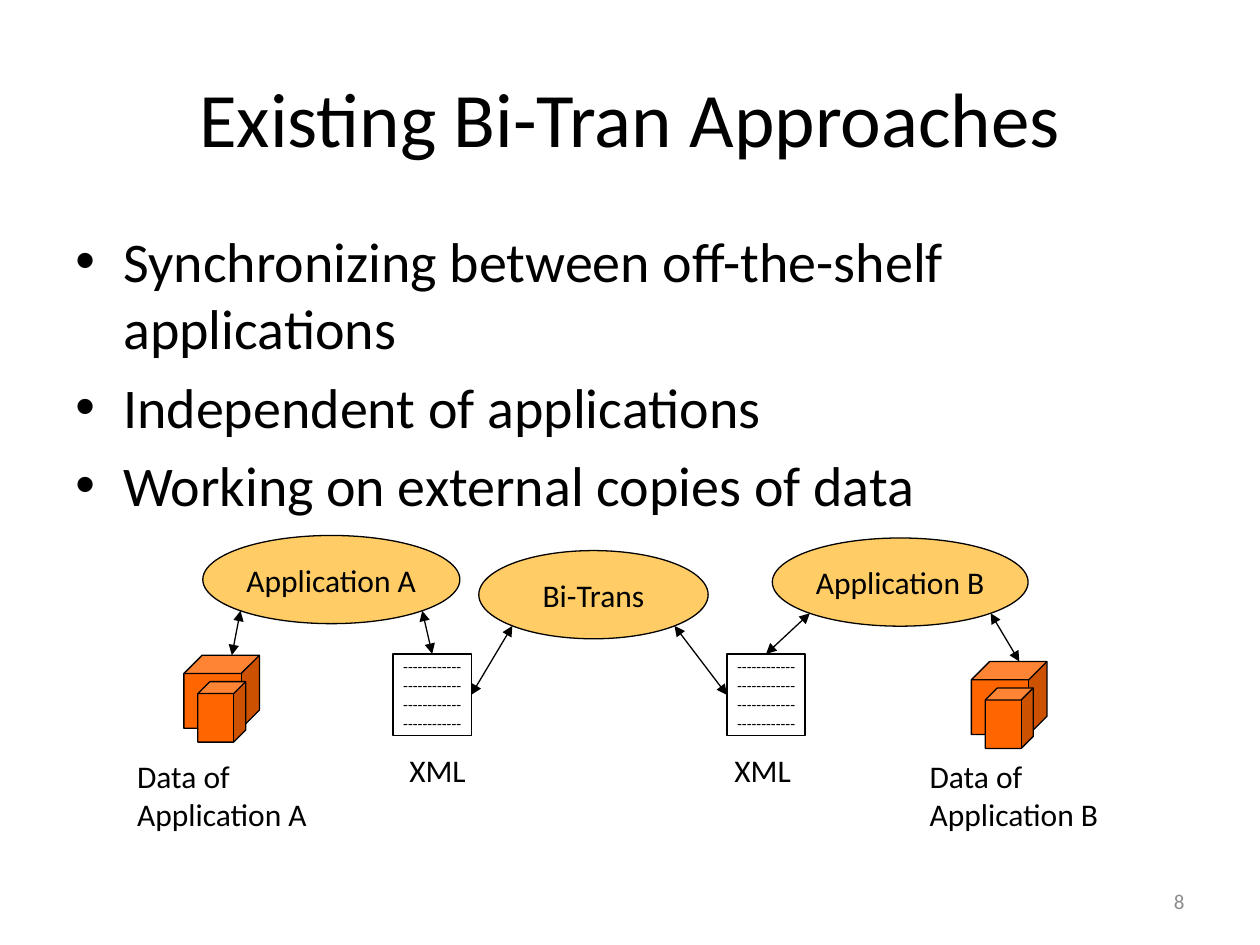
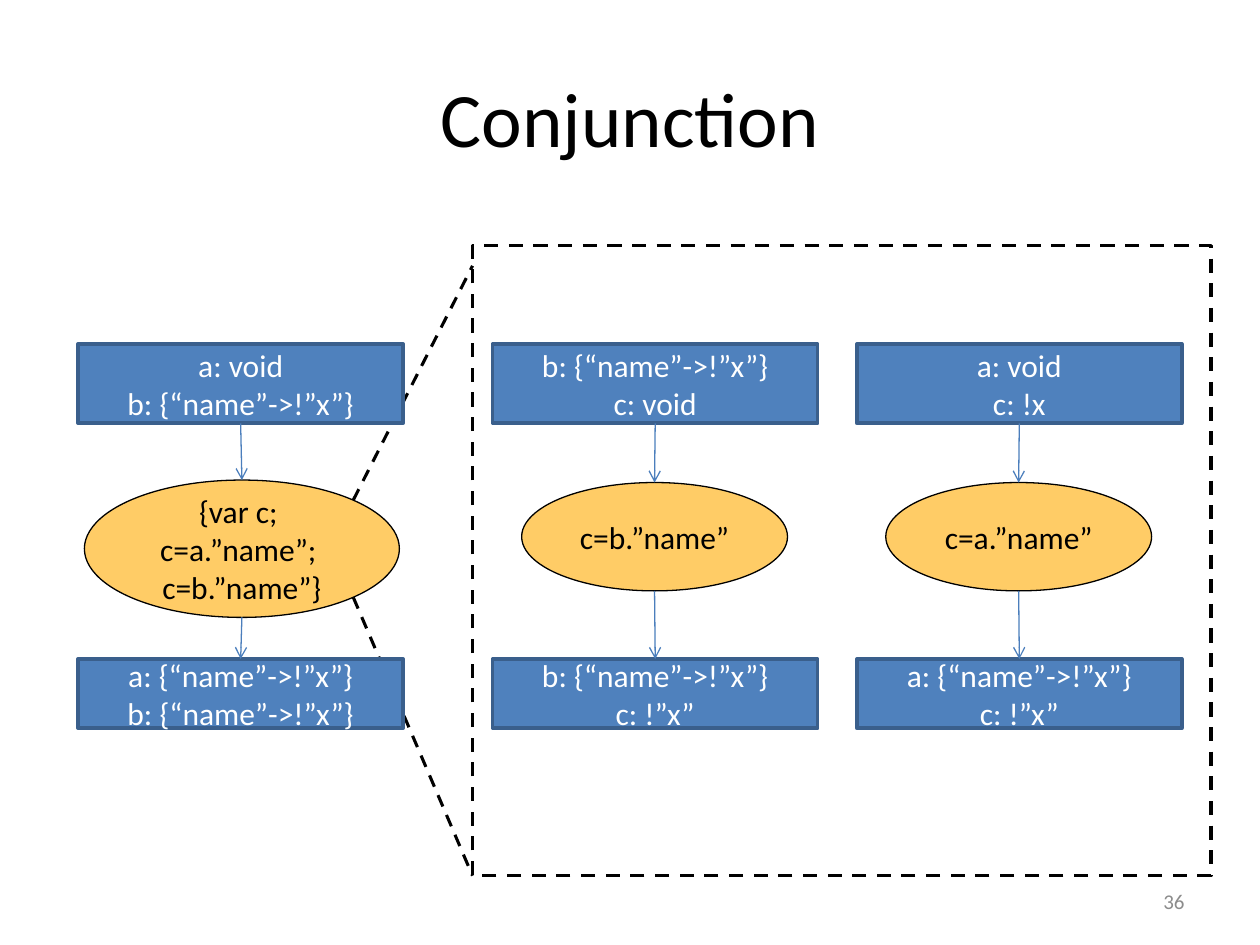
from math import sqrt

from lxml import etree
from pptx import Presentation
from pptx.dml.color import RGBColor
from pptx.enum import dml, shapes, text
from pptx.oxml.ns import qn
from pptx.util import Inches, Pt

FONT = "Calibri"
BLACK = RGBColor(0x00, 0x00, 0x00)
WHITE = RGBColor(0xFF, 0xFF, 0xFF)
GREY = RGBColor(0x8C, 0x8C, 0x8C)
AMBER = RGBColor(0xFF, 0xCC, 0x66)
ORANGE = RGBColor(0xFF, 0x66, 0x00)
BLUE = RGBColor(0x4F, 0x81, 0xBD)
BLUE_EDGE = RGBColor(0x3A, 0x5F, 0x8C)
BLUE_ARROW = RGBColor(0x4B, 0x7E, 0xBC)

RECT = shapes.MSO_SHAPE.RECTANGLE
OVAL = shapes.MSO_SHAPE.OVAL
CUBE = shapes.MSO_SHAPE.CUBE
CENTER = text.PP_ALIGN.CENTER
TOP, LEFT, BOTTOM, RIGHT = range(4)

# Slide 1: content and places (left, top, width, height)
BULLETS = [
    "Synchronizing between off-the-shelf applications",
    "Independent of applications",
    "Working on external copies of data",
]
PROCESSES = {
    "Application A": (1.61, 4.25, 2.04, 0.7),
    "Bi-Trans": (3.8, 4.37, 1.82, 0.7),
    "Application B": (6.13, 4.27, 2.03, 0.7),
}
DATA_STORES = {"Application A": (1.46, 5.2), "Application B": (7.71, 5.25)}
XML_LEFTS = [3.12, 5.77]
XML_LINES = ["-" * 12] * 4
LABELS = [
    (["Data of", "Application A"], (0.99, 5.96, 1.56, 0.71)),
    (["Data of", "Application B"], (7.28, 5.96, 1.56, 0.71)),
    (["XML"], (5.73, 5.91, 0.66, 0.4)),
    (["XML"], (3.15, 5.91, 0.66, 0.4)),
]

# Slide 2: centre, state before, program, its place, state after
STEPS = [
    (1.91, ["a: void", "b: {“name”->!”x”}"],
     ["{var c; ", "c=a.”name”; ", "c=b.”name”}"], (0.67, 3.81, 2.5, 1.09),
     ["a: {“name”->!”x”}", "b: {“name”->!”x”}"]),
    (5.2, ["b: {“name”->!”x”}", "c: void"],
     ["c=b.”name”"], (4.14, 3.83, 2.11, 0.86),
     ["b: {“name”->!”x”}", "c: !”x”"]),
    (8.09, ["a: void", "c: !x"],
     ["c=a.”name”"], (7.03, 3.83, 2.11, 0.86),
     ["a: {“name”->!”x”}", "c: !”x”"]),
]
STATE_WIDTH = 2.58
BEFORE_TOP, BEFORE_HEIGHT = 2.73, 0.63
AFTER_TOP, AFTER_HEIGHT = 5.23, 0.55
FRAME = (3.75, 1.95, 5.86, 5)
ZOOM_ENDS = [(-1, (3.75, 2.11)), (1, (3.75, 6.95))]


def write(box, lines, size=18, color=BLACK, align=None, wrap=True,
          anchor=text.MSO_ANCHOR.TOP, bullet=None, gap=0):
    frame = box.text_frame
    frame.word_wrap = wrap
    frame.vertical_anchor = anchor
    for index, line in enumerate(lines):
        para = frame.add_paragraph() if index else frame.paragraphs[0]
        para.text = line
        para.alignment = align
        para.space_before = Pt(gap if index else 0)
        if bullet:
            props = para._p.get_or_add_pPr()
            props.set("marL", str(Inches(0.38)))
            props.set("indent", str(-Inches(0.38)))
            etree.SubElement(props, qn("a:buFont")).set("typeface", "Arial")
            etree.SubElement(props, qn("a:buChar")).set("char", bullet)
        para.font.name = FONT
        para.font.size = Pt(size)
        para.font.color.rgb = color


def add_text(page, place, lines, **style):
    box = page.shapes.add_textbox(*map(Inches, place))
    write(box, lines, **style)
    return box


def add_box(page, kind, place, fill=None, edge=BLACK, weight=0.75,
            lines=(), **style):
    box = page.shapes.add_shape(kind, *map(Inches, place))
    box.shadow.inherit = False
    if fill is None:
        box.fill.background()
    else:
        box.fill.solid()
        box.fill.fore_color.rgb = fill
    box.line.color.rgb = edge
    box.line.width = Pt(weight)
    if lines:
        write(box, lines, align=CENTER, anchor=text.MSO_ANCHOR.MIDDLE, **style)
    return box


def add_link(page, begin, end, color=BLACK, weight=0.75, head=None, tail=None,
             dashed=False):
    """Draw a line; each end is an (x, y) point or a (shape, side) pair."""
    joined = [not isinstance(spot[0], (int, float)) for spot in (begin, end)]
    points = [(0, 0) if join else spot
              for join, spot in zip(joined, (begin, end))]
    link = page.shapes.add_connector(
        shapes.MSO_CONNECTOR.STRAIGHT,
        *(Inches(value) for point in points for value in point))
    if joined[0]:
        link.begin_connect(*begin)
    if joined[1]:
        link.end_connect(*end)
    link.line.color.rgb = color
    link.line.width = Pt(weight)
    if dashed:
        link.line.dash_style = dml.MSO_LINE.DASH
    line = link.line._get_or_add_ln()
    for tag, arrow in (("a:headEnd", head), ("a:tailEnd", tail)):
        if arrow:
            etree.SubElement(line, qn(tag)).set("type", arrow)
    etree.SubElement(link._element.spPr, qn("a:effectLst"))


def oval_corner(place, across, down):
    """Diagonal point of an oval; across and down are -1 or 1."""
    left, top, width, height = place
    return (left + width / 2 * (1 + across / sqrt(2)),
            top + height / 2 * (1 + down / sqrt(2)))


def add_page(deck, title, number):
    page = deck.slides.add_slide(deck.slide_layouts[6])
    add_text(page, (0.5, 0.3, 9, 1.25), [title], size=44, align=CENTER,
             anchor=text.MSO_ANCHOR.MIDDLE)
    add_text(page, (7.17, 6.95, 2.33, 0.4), [str(number)], size=12, color=GREY,
             align=text.PP_ALIGN.RIGHT, anchor=text.MSO_ANCHOR.MIDDLE)
    return page


def build_approaches(deck):
    page = add_page(deck, "Existing Bi-Tran Approaches", 8)
    add_text(page, (0.5, 1.75, 9, 4.95), BULLETS, size=32, bullet="•", gap=6.4)
    for left, top in DATA_STORES.values():
        add_box(page, CUBE, (left, top, 0.6, 0.58), ORANGE)
        add_box(page, CUBE, (left + 0.11, top + 0.21, 0.38, 0.48), ORANGE)
    for name, place in PROCESSES.items():
        add_box(page, OVAL, place, AMBER, lines=[name], wrap=False)
    first_xml, second_xml = [
        add_box(page, RECT, (left, 5.19, 0.62, 0.65), WHITE, lines=XML_LINES,
                size=9, wrap=False)
        for left in XML_LEFTS]

    exchanges = [
        ("Application A", 1, (first_xml, TOP)),
        ("Bi-Trans", -1, (first_xml, RIGHT)),
        ("Bi-Trans", 1, (second_xml, LEFT)),
        ("Application B", -1, (second_xml, TOP)),
    ]
    for (name, (left, top)), across in zip(DATA_STORES.items(), (-1, 1)):
        exchanges.append((name, across, (left + 0.38, top)))
    for name, across, target in exchanges:
        add_link(page, oval_corner(PROCESSES[name], across, 1), target,
                 head="triangle", tail="triangle")
    for lines, place in LABELS:
        add_text(page, place, lines, wrap=False)


def build_conjunction(deck):
    page = add_page(deck, "Conjunction", 36)
    whole_program = STEPS[0][3]
    for down, target in ZOOM_ENDS:
        add_link(page, oval_corner(whole_program, 1, down), target,
                 weight=1.75, dashed=True)

    for center, before, program, place, after in STEPS:
        oval = add_box(page, OVAL, place, AMBER, lines=program, wrap=False)
        left = center - STATE_WIDTH / 2
        state_before, state_after = [
            add_box(page, RECT, (left, top, STATE_WIDTH, height), BLUE,
                    BLUE_EDGE, 2, lines, color=WHITE)
            for top, height, lines in ((BEFORE_TOP, BEFORE_HEIGHT, before),
                                       (AFTER_TOP, AFTER_HEIGHT, after))]
        oval_bottom = (place[0] + place[2] / 2, place[1] + place[3])
        for begin, end in (((state_before, BOTTOM), (oval, TOP)),
                           (oval_bottom, (state_after, TOP))):
            add_link(page, begin, end, color=BLUE_ARROW, tail="arrow")

    frame = add_box(page, RECT, FRAME, weight=2)
    frame.line.dash_style = dml.MSO_LINE.DASH


def main():
    deck = Presentation()
    deck.slide_width, deck.slide_height = Inches(10), Inches(7.5)
    build_approaches(deck)
    build_conjunction(deck)
    deck.save("out.pptx")


if __name__ == "__main__":
    main()
